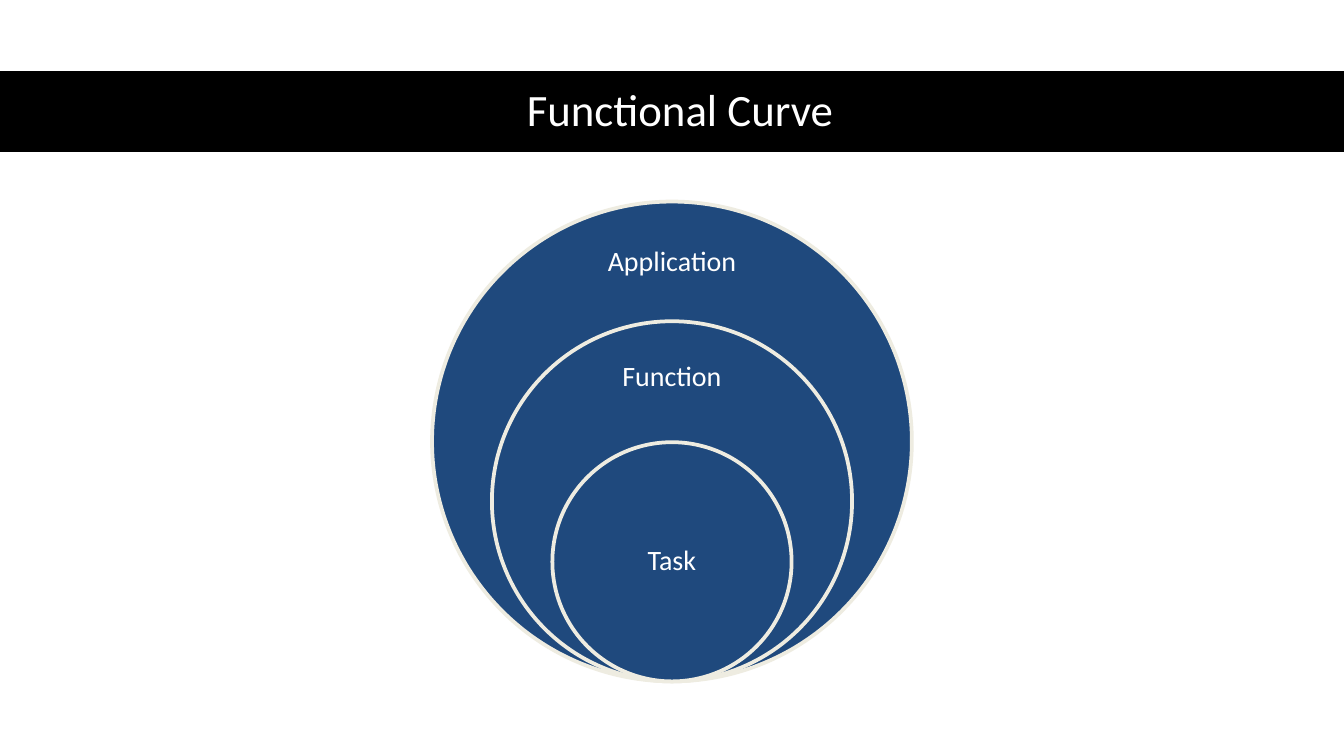
from dataclasses import dataclass

import pptx
import pptx.dml.color
import pptx.enum.shapes
import pptx.enum.text
import pptx.util
from pptx.util import Inches


@dataclass(frozen=True)
class Theme:
    font: str = "Calibri"
    band: str = "000000"
    circle: str = "1F497D"
    outline: str = "EEECE1"
    text: str = "FFFFFF"
    title_size: int = 24
    label_size: int = 15
    outline_width: int = 2


@dataclass(frozen=True)
class Ring:
    label: str
    diameter: float
    label_top: float
    label_height: float


THEME = Theme()
SLIDE_WIDTH = 10
SLIDE_HEIGHT = SLIDE_WIDTH * 9 / 16
RINGS_BOTTOM = 5.07  # all circles touch at this point
LABEL_WIDTH = 1.26
RINGS = [
    Ring("Application", 3.57, 1.68, 0.54),
    Ring("Function", 2.68, 2.56, 0.5),
    Ring("Task", 1.78, 3.73, 0.89),
]


def color(value: str) -> pptx.dml.color.RGBColor:
    return pptx.dml.color.RGBColor.from_string(value)


def add_filled(page, kind, left: float, top: float, width: float, height: float,
               fill: str, outline: str | None = None):
    """Add a preset shape with a flat fill and an optional outline."""
    shape = page.shapes.add_shape(
        kind, Inches(left), Inches(top), Inches(width), Inches(height))
    shape.shadow.inherit = False
    shape.fill.solid()
    shape.fill.fore_color.rgb = color(fill)
    if outline:
        shape.line.color.rgb = color(outline)
        shape.line.width = pptx.util.Pt(THEME.outline_width)
    else:
        shape.line.fill.background()
    return shape


def add_text(page, text: str, *, left: float, top: float, width: float,
             height: float, size: int, inset: float):
    """Add a text box with one paragraph centred both ways."""
    box = page.shapes.add_textbox(
        Inches(left), Inches(top), Inches(width), Inches(height))
    frame = box.text_frame
    frame.word_wrap = True
    frame.vertical_anchor = pptx.enum.text.MSO_ANCHOR.MIDDLE
    frame.margin_left = frame.margin_right = Inches(inset)
    frame.margin_top = frame.margin_bottom = Inches(inset)
    para = frame.paragraphs[0]
    para.alignment = pptx.enum.text.PP_ALIGN.CENTER
    para.line_spacing = 0.9
    span = para.add_run()
    span.text = text
    span.font.name = THEME.font
    span.font.size = pptx.util.Pt(size)
    span.font.color.rgb = color(THEME.text)
    return box


def add_ring(page, ring: Ring) -> None:
    """Add a circle standing on the shared bottom point, with its label."""
    center = SLIDE_WIDTH / 2
    add_filled(page, pptx.enum.shapes.MSO_SHAPE.OVAL,
               center - ring.diameter / 2, RINGS_BOTTOM - ring.diameter,
               ring.diameter, ring.diameter, THEME.circle, THEME.outline)
    add_text(page, ring.label, left=center - LABEL_WIDTH / 2, top=ring.label_top,
             width=LABEL_WIDTH, height=ring.label_height,
             size=THEME.label_size, inset=0.12)


def main() -> None:
    deck = pptx.Presentation()
    deck.slide_width = Inches(SLIDE_WIDTH)
    deck.slide_height = Inches(SLIDE_HEIGHT)
    page = deck.slides.add_slide(deck.slide_layouts[6])

    # Title band
    add_filled(page, pptx.enum.shapes.MSO_SHAPE.RECTANGLE,
               0, 0.53, SLIDE_WIDTH, 0.6, THEME.band)
    add_text(page, "Functional Curve", left=0.46, top=0.53, width=9.2,
             height=0.61, size=THEME.title_size, inset=0.05)

    # Nested circles, outermost first
    for ring in RINGS:
        add_ring(page, ring)

    deck.save("out.pptx")


if __name__ == "__main__":
    main()
